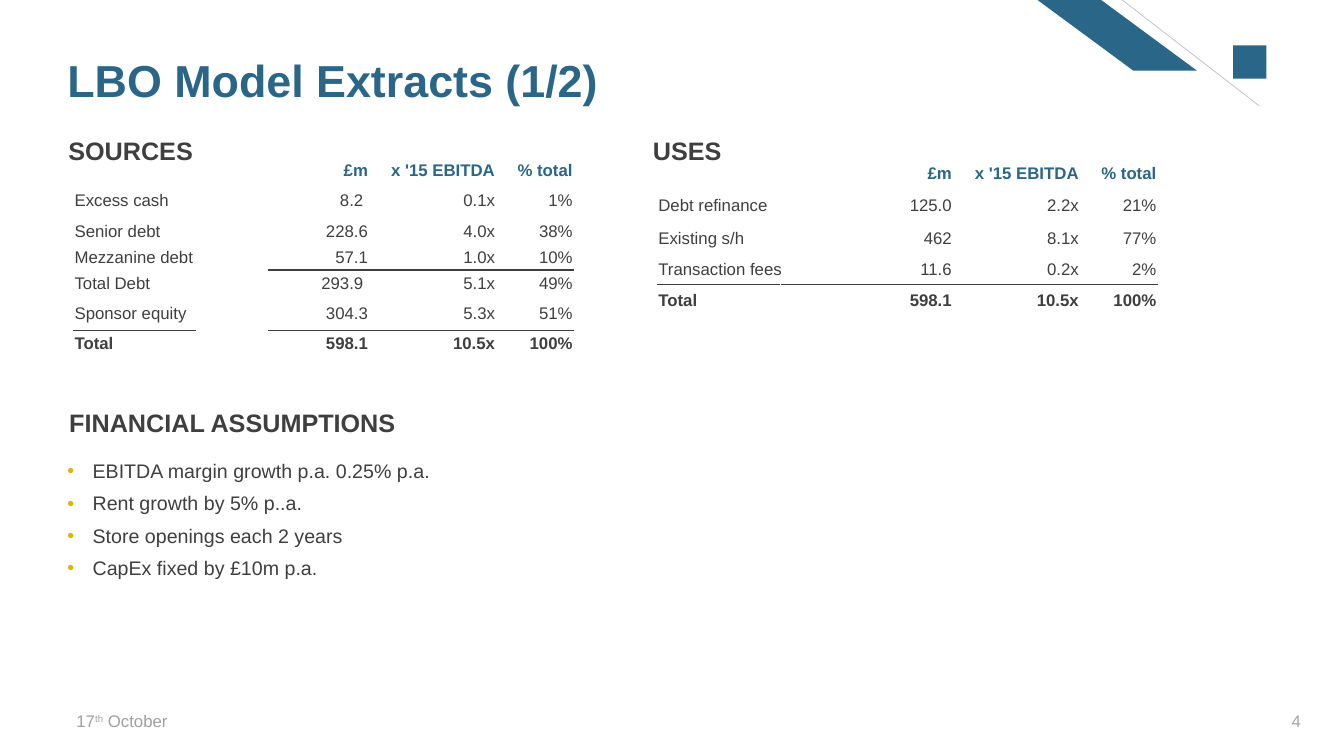
from dataclasses import dataclass

from lxml.etree import SubElement
from pptx import Presentation
from pptx.dml.color import RGBColor
from pptx.enum.shapes import MSO_CONNECTOR, MSO_SHAPE
from pptx.enum.text import MSO_ANCHOR, MSO_AUTO_SIZE, PP_ALIGN
from pptx.oxml.ns import qn
from pptx.util import Inches, Pt

BLUE, DARK, GOLD, WHITE = "2A6688", "3F3F3F", "EAB200", "FFFFFF"
COLUMN_WIDTHS = (1.22, 0.71, 1, 1.26, 0.77)
HEADER = ("", "", "£m", "x '15 EBITDA", "% total")


@dataclass
class FundsTable:
    left: float
    heights: tuple[float, ...]
    rows: tuple[tuple[str, ...], ...]
    underlined: dict[int, tuple[int, ...]]  # row -> columns with a rule below
    merged: tuple[int, ...] = ()  # rows whose label spans two columns


@dataclass
class Heading:
    text: str
    left: float
    top: float
    width: float


SOURCES = FundsTable(
    0.73, (0.26, 0.34, 0.26, 0.26, 0.26, 0.34, 0.26),
    (HEADER,
     ("Excess cash", "", "8.2 ", "0.1x", "1%"),
     ("Senior debt", "", "228.6", "4.0x", "38%"),
     ("Mezzanine debt", "", "57.1", "1.0x", "10%"),
     ("Total Debt", "", "293.9 ", "5.1x", "49%"),
     ("Sponsor equity", "", "304.3", "5.3x", "51%"),
     ("Total", "", "598.1", "10.5x", "100%")),
    {3: (2, 3, 4), 5: (0, 2, 3, 4)})
USES = FundsTable(
    6.52, (0.32, 0.32, 0.32, 0.3, 0.32),
    (HEADER,
     ("Debt refinance", "", "125.0", "2.2x", "21%"),
     ("Existing s/h", "", "462", "8.1x", "77%"),
     ("Transaction fees", "", "11.6", "0.2x", "2%"),
     ("Total", "", "598.1", "10.5x", "100%")),
    {3: (0, 1, 2, 3, 4)}, merged=(1, 3))
HEADINGS = (
    Heading("USES", 6.37, 1.33, 0.89),
    Heading("SOURCES", 0.57, 1.33, 1.45),
    Heading("FINANCIAL ASSUMPTIONS", 0.57, 4.03, 3.47),
)
ASSUMPTIONS = (
    "EBITDA margin growth p.a. 0.25% p.a.",
    "Rent growth by 5% p..a.",
    "Store openings each 2 years",
    "CapEx fixed by £10m p.a.",
)


def rgb(color: str) -> RGBColor:
    return RGBColor.from_string(color)


def add_text(p, text: str, *, size: float = 12, color: str = DARK,
             bold: bool = False, align=PP_ALIGN.LEFT, spacing: float = 1,
             before: float = 0, after: float = 0):
    p.alignment, p.line_spacing = align, spacing
    p.space_before, p.space_after = Pt(before), Pt(after)
    r = p.add_run()
    r.text = text
    r.font.name, r.font.size, r.font.bold = "Arial", Pt(size), bold
    r.font.color.rgb = rgb(color)
    return r


def add_box(slide, left: float, top: float, width: float, height: float,
            anchor=MSO_ANCHOR.TOP, wrap: bool = True):
    s = slide.shapes.add_textbox(Inches(left), Inches(top), Inches(width), Inches(height))
    tf = s.text_frame
    tf.word_wrap, tf.vertical_anchor = wrap, anchor
    return tf


def add_block(slide, kind, left: float, top: float, width: float, height: float):
    s = slide.shapes.add_shape(kind, Inches(left), Inches(top), Inches(width), Inches(height))
    s.shadow.inherit = False
    s.fill.solid()
    s.fill.fore_color.rgb = rgb(BLUE)
    s.line.fill.background()
    return s


def set_borders(cell, top: str, bottom: str) -> None:
    sides = (("a:lnL", WHITE), ("a:lnR", WHITE), ("a:lnT", top), ("a:lnB", bottom))
    tc_pr = cell._tc.get_or_add_tcPr()
    for i, (tag, color) in enumerate(sides):
        ln = SubElement(tc_pr, qn(tag), w=str(Pt(1)))
        fill = SubElement(ln, qn("a:solidFill"))
        SubElement(fill, qn("a:srgbClr"), val=color)
        tc_pr.insert(i, ln)


def add_funds_table(slide, spec: FundsTable) -> None:
    table = slide.shapes.add_table(
        len(spec.rows), len(COLUMN_WIDTHS), Inches(spec.left), Inches(1.56),
        Inches(sum(COLUMN_WIDTHS)), Inches(sum(spec.heights))).table
    table.first_row = table.horz_banding = False
    for column, width in zip(table.columns, COLUMN_WIDTHS):
        column.width = Inches(width)
    for i, (values, height) in enumerate(zip(spec.rows, spec.heights)):
        table.rows[i].height = Inches(height)
        for j, value in enumerate(values):
            cell = table.cell(i, j)
            cell.margin_left = cell.margin_right = cell.margin_top = Inches(0.01)
            cell.margin_bottom = 0
            cell.vertical_anchor = MSO_ANCHOR.MIDDLE
            cell.fill.solid()
            cell.fill.fore_color.rgb = rgb(WHITE)
            set_borders(cell,
                        top=DARK if j in spec.underlined.get(i - 1, ()) else WHITE,
                        bottom=DARK if j in spec.underlined.get(i, ()) else WHITE)
            p = cell.text_frame.paragraphs[0]
            if value:
                add_text(p, value, color=DARK if i else BLUE,
                         bold=i == 0 or value == "Total" or values[0] == "Total",
                         align=PP_ALIGN.RIGHT if j else PP_ALIGN.LEFT)
            else:
                p.font.size = Pt(12)
    for i in spec.merged:
        table.cell(i, 0).merge(table.cell(i, 1))


def add_bullet(p) -> None:
    p_pr = p._p.get_or_add_pPr()
    p_pr.set("marL", str(Inches(0.25)))
    p_pr.set("indent", str(-Inches(0.25)))
    color = SubElement(p_pr, qn("a:buClr"))
    SubElement(color, qn("a:srgbClr"), val=GOLD)
    SubElement(p_pr, qn("a:buFont"), typeface="Arial")
    SubElement(p_pr, qn("a:buChar"), char="•")


def main() -> None:
    prs = Presentation()
    prs.slide_width, prs.slide_height = Inches(13.33), Inches(7.5)
    slide = prs.slides.add_slide(prs.slide_layouts[6])

    # Corner decoration
    add_block(slide, MSO_SHAPE.RECTANGLE, 12.23, 0.45, 0.33, 0.33)
    band = add_block(slide, MSO_SHAPE.PARALLELOGRAM, 10.29, 0, 1.58, 0.7)
    band.adjustments[0] = 1.356
    band._element.spPr.find(qn("a:xfrm")).set("flipH", "1")
    line = slide.shapes.add_connector(
        MSO_CONNECTOR.STRAIGHT, Inches(12.49), Inches(1.05), Inches(11.13), 0)
    line.line.color.rgb, line.line.width = rgb("BFBFBF"), Pt(0.5)
    SubElement(line._element.spPr, qn("a:effectLst"))

    # Title and footer
    tf = add_box(slide, 0.57, 0.23, 9.11, 0.83, MSO_ANCHOR.BOTTOM)
    tf.margin_bottom = 0
    add_text(tf.paragraphs[0], "LBO Model Extracts (1/2)", size=32, color=BLUE,
             bold=True, spacing=0.9)
    p = add_box(slide, 0.66, 6.95, 4.5, 0.4, MSO_ANCHOR.MIDDLE).paragraphs[0]
    add_text(p, "17", color="9F9F9F")
    ordinal = add_text(p, "th", color="9F9F9F")
    ordinal.font._element.set("baseline", "30000")
    add_text(p, " October", color="9F9F9F")
    p = add_box(slide, 12.19, 6.95, 0.81, 0.4, MSO_ANCHOR.MIDDLE).paragraphs[0]
    add_text(p, "4", color="A5A5A5", align=PP_ALIGN.RIGHT)

    # Tables and section headings
    for spec in (USES, SOURCES):
        add_funds_table(slide, spec)
    for h in HEADINGS:
        tf = add_box(slide, h.left, h.top, h.width, 0.37, wrap=False)
        tf.auto_size = MSO_AUTO_SIZE.SHAPE_TO_FIT_TEXT
        add_text(tf.paragraphs[0], h.text, size=18, bold=True,
                 align=PP_ALIGN.CENTER, spacing=0.9, before=10)

    # Assumptions
    tf = add_box(slide, 0.57, 4.53, 10.92, 2.12)
    for i, text in enumerate(ASSUMPTIONS):
        p = tf.add_paragraph() if i else tf.paragraphs[0]
        add_text(p, text, size=14, spacing=0.9, before=4, after=4)
        add_bullet(p)

    prs.save("out.pptx")


if __name__ == "__main__":
    main()
